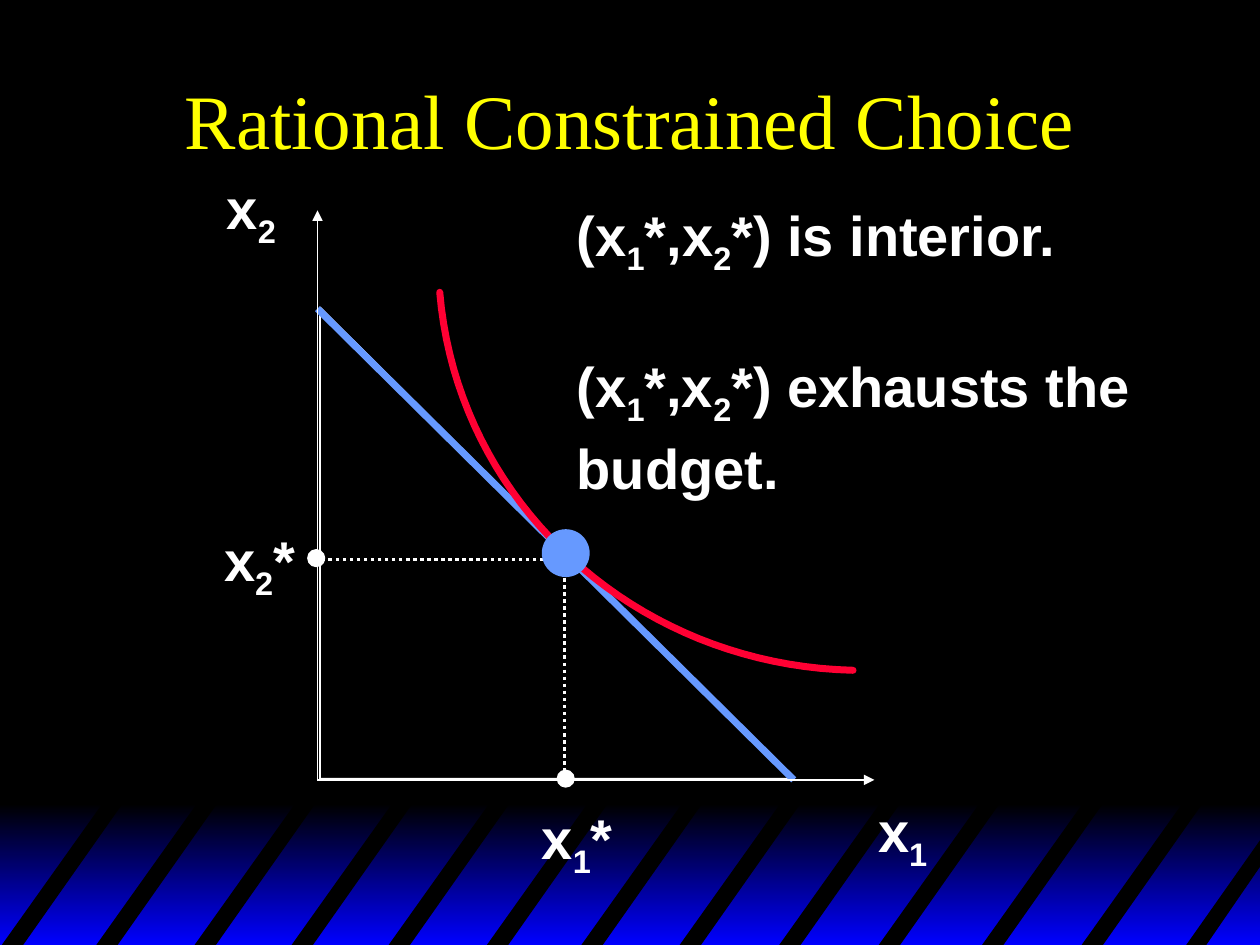
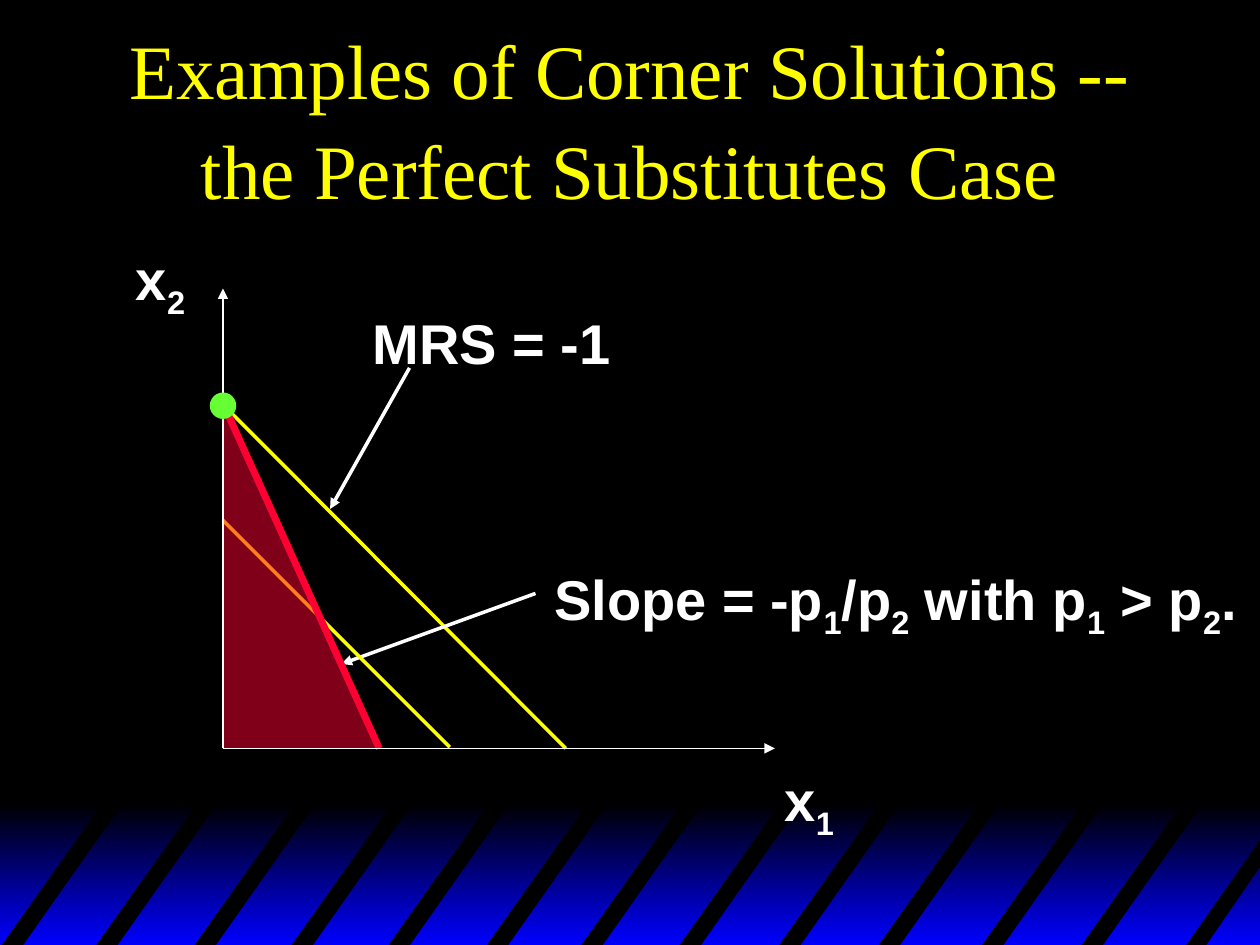
from lxml.etree import SubElement
from pptx import Presentation
from pptx.dml.color import RGBColor
from pptx.enum.dml import MSO_LINE
from pptx.enum.shapes import MSO_CONNECTOR, MSO_SHAPE
from pptx.enum.text import MSO_ANCHOR, MSO_AUTO_SIZE, PP_ALIGN
from pptx.oxml.ns import qn
from pptx.util import Inches, Pt

BLACK = RGBColor(0x00, 0x00, 0x00)
WHITE = RGBColor(0xFF, 0xFF, 0xFF)
DEEP_BLUE = RGBColor(0x00, 0x00, 0xFF)
SKY_BLUE = RGBColor(0x66, 0x99, 0xFF)
YELLOW = RGBColor(0xFF, 0xFF, 0x00)
RED = RGBColor(0xFF, 0x00, 0x33)
GREEN = RGBColor(0x66, 0xFF, 0x33)

STRIPE_LEFTS = (0, 0.75, 1.53, 2.3, 3.07, 3.85, 4.6, 5.38, 6.17, 6.96, 7.78, 8.57)
STRIPE_TOP, STRIPE_BOTTOM = 6.34, 7.52
LINE_SPACING = 1.08


def bezier(start, control1, control2, end, steps=40):
    points = []
    for i in range(steps + 1):
        t = i / steps
        weights = ((1 - t) ** 3, 3 * t * (1 - t) ** 2, 3 * t * t * (1 - t), t ** 3)
        points.append(tuple(
            sum(w * c for w, c in zip(weights, coords))
            for coords in zip(start, control1, control2, end)
        ))
    return points


class Deck:
    def __init__(self):
        self.prs = Presentation()
        self.prs.slide_width = Inches(10)
        self.prs.slide_height = Inches(7.5)
        fill = self.prs.slide_master.background.fill
        fill.solid()
        fill.fore_color.rgb = BLACK
        self.s = None

    def add_slide(self, title):
        self.s = self.prs.slides.add_slide(self.prs.slide_layouts[6])
        self.striped_band()
        self.title(title)

    def striped_band(self):
        band = self.shape(MSO_SHAPE.RECTANGLE, 0, 6.38, 10, 1.12)
        band.fill.gradient()
        band.fill.gradient_angle = 270
        for stop, color, position in zip(band.fill.gradient_stops, (BLACK, DEEP_BLUE), (0, 1)):
            stop.color.rgb = color
            stop.position = position
        for x in STRIPE_LEFTS:
            self.polygon([(x, STRIPE_BOTTOM), (x + 0.84, STRIPE_TOP),
                          (x + 1, STRIPE_TOP), (x + 0.17, STRIPE_BOTTOM)], BLACK)
        self.polygon([(9.4, STRIPE_BOTTOM), (10.02, 6.64),
                      (10.02, 6.85), (9.56, STRIPE_BOTTOM)], BLACK)

    def style_line(self, line, color, width):
        line.color.rgb = color
        line.width = Pt(width)

    def shape(self, kind, x, y, w, h, fill=None, line=None, opacity=None):
        shape = self.s.shapes.add_shape(kind, Inches(x), Inches(y), Inches(w), Inches(h))
        self.finish(shape, fill, line)
        if opacity:
            color = shape.fill._xPr.find(qn("a:solidFill"))[0]
            SubElement(color, qn("a:alpha")).set("val", str(opacity * 1000))
        return shape

    def finish(self, shape, fill=None, line=None, width=1):
        shape.shadow.inherit = False
        if fill is None:
            shape.fill.background()
        else:
            shape.fill.solid()
            shape.fill.fore_color.rgb = fill
        if line is None:
            shape.line.fill.background()
        else:
            self.style_line(shape.line, line, width)

    def outline(self, points, close):
        corners = [(Inches(x), Inches(y)) for x, y in points]
        builder = self.s.shapes.build_freeform(*corners[0])
        builder.add_line_segments(corners[1:], close=close)
        return builder.convert_to_shape()

    def polygon(self, points, fill):
        self.finish(self.outline(points, True), fill)

    def curve(self, points, color, width):
        shape = self.outline(points, False)
        self.finish(shape, line=color, width=width)
        ln = shape.line._get_or_add_ln()
        ln.set("cap", "rnd")
        SubElement(ln, qn("a:round"))

    def dot(self, x, y, size, fill, line=None):
        self.shape(MSO_SHAPE.OVAL, x - size / 2, y - size / 2, size, size, fill, line)

    def line(self, start, end, color=WHITE, width=1, arrow=False, dash=None):
        ends = [Inches(v) for v in (*start, *end)]
        c = self.s.shapes.add_connector(MSO_CONNECTOR.STRAIGHT, *ends)
        self.style_line(c.line, color, width)
        if dash:
            c.line.dash_style = dash
        if arrow:
            SubElement(c.line._get_or_add_ln(), qn("a:tailEnd")).set("type", "triangle")
        SubElement(c._element.spPr, qn("a:effectLst"))

    def axes(self, origin, top, right):
        x, y = origin
        self.line(origin, (x, top), arrow=True)
        self.line(origin, (right, y), arrow=True)

    def text_frame(self, x, y, w, h, wrap):
        tf = self.s.shapes.add_textbox(Inches(x), Inches(y), Inches(w), Inches(h)).text_frame
        tf.word_wrap = wrap
        tf.paragraphs[0].line_spacing = LINE_SPACING
        return tf

    def style_run(self, r, name, size, color, bold):
        r.font.name = name
        r.font.size = Pt(size)
        r.font.color.rgb = color
        r.font.bold = bold

    def title(self, text):
        tf = self.text_frame(0.75, 0.25, 8.5, 1.33, True)
        tf.vertical_anchor = MSO_ANCHOR.MIDDLE
        p = tf.paragraphs[0]
        p.text = text
        p.alignment = PP_ALIGN.CENTER
        self.style_run(p.runs[0], "Times New Roman", 44, YELLOW, False)

    def label(self, text, x, y, w, h=0.71, wrap=False):
        tf = self.text_frame(x, y, w, h, wrap)
        tf.auto_size = MSO_AUTO_SIZE.SHAPE_TO_FIT_TEXT
        p = tf.paragraphs[0]
        first, *rest = text.split("_")
        pieces = [(first, False)]
        for part in rest:
            pieces += [(part[0], True), (part[1:], False)]
        for piece, subscript in pieces:
            if piece:
                r = p.add_run()
                r.text = piece
                self.style_run(r, "Arial", 32, WHITE, True)
                if subscript:
                    r._r.get_or_add_rPr().set("baseline", "-25000")


def interior_choice(deck):
    deck.add_slide("Rational Constrained Choice")
    origin = (2.52, 6.19)
    deck.shape(MSO_SHAPE.RIGHT_TRIANGLE, 2.54, 2.44, 3.76, 3.74, line=WHITE)
    deck.line((2.52, 2.45), (6.3, 6.19), SKY_BLUE, 4)
    deck.curve(bezier((6.77, 5.32), (5.04, 5.28), (3.63, 3.99), (3.49, 2.32)), RED, 4)
    deck.axes(origin, 1.67, 6.94)
    deck.label("x_1", 6.87, 6.22, 0.59)
    deck.label("x_2", 1.7, 1.28, 0.59)
    deck.line((4.48, 4.42), (4.48, 6.19), width=2, dash=MSO_LINE.ROUND_DOT)
    deck.line((4.48, 4.44), (2.54, 4.44), width=2, dash=MSO_LINE.ROUND_DOT)
    deck.dot(4.49, 4.39, 0.38, SKY_BLUE)
    deck.dot(2.51, 4.43, 0.13, WHITE, WHITE)
    deck.dot(4.49, 6.18, 0.13, WHITE, WHITE)
    deck.label("x_1*", 4.2, 6.28, 0.77)
    deck.label("x_2*", 1.68, 4.07, 0.77)
    deck.label("(x_1*,x_2*) is interior.", 4.48, 1.49, 4.02)
    deck.label("(x_1*,x_2*) exhausts the budget.", 4.48, 2.69, 4.8, 1.24, wrap=True)


def corner_solution(deck):
    deck.add_slide("Examples of Corner Solutions -- the Perfect Substitutes Case")
    origin = (1.77, 5.94)
    deck.label("x_1", 6.13, 5.98, 0.59)
    deck.label("x_2", 0.98, 1.84, 0.59)
    deck.line((1.77, 3.21), (4.49, 5.94), YELLOW, 2)
    deck.label("MRS = -1", 2.86, 2.36, 2.09, 0.63)
    deck.line((3.25, 2.92), (2.62, 4.04), width=2, arrow=True)
    deck.label("Slope = -p_1/p_2 with p_1 > p_2.", 4.3, 4.38, 5.62)
    deck.line((4.25, 4.71), (2.71, 5.27), width=2, arrow=True)
    deck.line((1.77, 4.13), (3.57, 5.93), YELLOW, 2)
    deck.shape(MSO_SHAPE.RIGHT_TRIANGLE, 1.77, 3.18, 1.25, 2.76, RED, opacity=50)
    deck.line((1.77, 3.2), (3.01, 5.94), RED, 4)
    deck.axes(origin, 2.29, 6.15)
    deck.dot(1.77, 3.22, 0.21, GREEN)


def main():
    deck = Deck()
    interior_choice(deck)
    corner_solution(deck)
    deck.prs.save("out.pptx")


if __name__ == "__main__":
    main()
